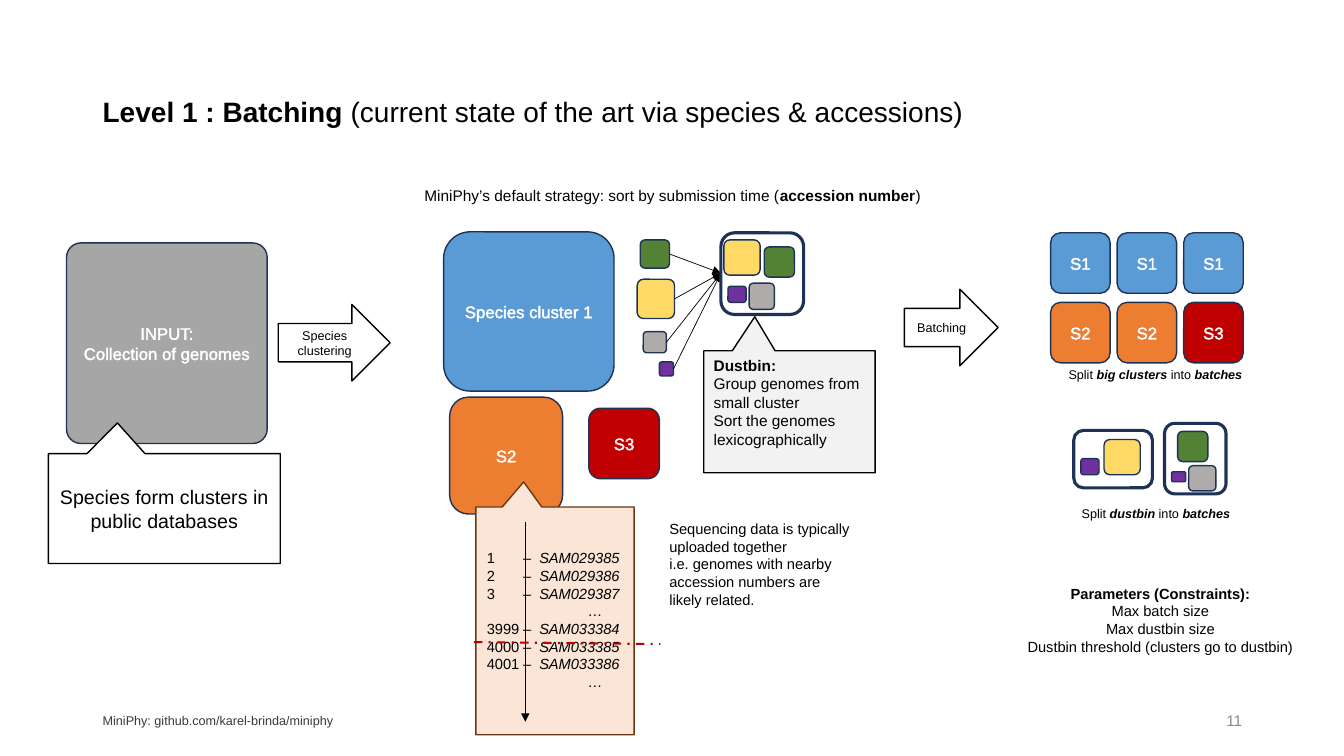
from lxml.etree import SubElement
from pptx import Presentation
from pptx.dml.color import RGBColor
from pptx.enum.dml import MSO_LINE
from pptx.enum.shapes import MSO_CONNECTOR, MSO_SHAPE
from pptx.enum.text import MSO_ANCHOR, PP_ALIGN
from pptx.oxml.ns import qn
from pptx.util import Inches, Pt

BLACK = RGBColor(0x00, 0x00, 0x00)
WHITE = RGBColor(0xFF, 0xFF, 0xFF)
NAVY = RGBColor(0x1E, 0x32, 0x56)
BROWN = RGBColor(0x68, 0x37, 0x15)
INPUT_GRAY = RGBColor(0xA6, 0xA6, 0xA6)
PALE_GRAY = RGBColor(0xF2, 0xF2, 0xF2)
NUMBER_GRAY = RGBColor(0x8C, 0x8C, 0x8C)
FOOTER_GRAY = RGBColor(0x3B, 0x38, 0x38)
PEACH = RGBColor(0xFB, 0xE5, 0xD6)
BLUE = RGBColor(0x5B, 0x9B, 0xD5)
ORANGE = RGBColor(0xED, 0x7D, 0x31)
RED = RGBColor(0xC0, 0x00, 0x00)
GREEN = RGBColor(0x54, 0x82, 0x35)
YELLOW = RGBColor(0xFF, 0xD9, 0x66)
GRAY = RGBColor(0xAF, 0xAB, 0xAB)
PURPLE = RGBColor(0x70, 0x30, 0xA0)

LEFT, CENTER, RIGHT = PP_ALIGN.LEFT, PP_ALIGN.CENTER, PP_ALIGN.RIGHT
TOP, MIDDLE = MSO_ANCHOR.TOP, MSO_ANCHOR.MIDDLE


def write(tf, paragraphs, size=10.5, color=BLACK, align=LEFT, anchor=TOP,
          spacing=None, outline=False, tabs=()):
    """Fill a text frame; a run is a string or a (string, 'b'/'i' flags) pair."""
    tf.word_wrap = True
    tf.vertical_anchor = anchor
    for i, runs in enumerate(paragraphs):
        p = tf.add_paragraph() if i else tf.paragraphs[0]
        p.alignment = align
        if spacing:
            p.line_spacing = spacing
        if tabs:
            tab_list = SubElement(p._p.get_or_add_pPr(), qn("a:tabLst"))
            for stop in tabs:
                SubElement(tab_list, qn("a:tab"), pos=str(Inches(stop)), algn="l")
        for run in [runs] if isinstance(runs, str) else runs:
            text, flags = (run, "") if isinstance(run, str) else run
            r = p.add_run()
            r.text = text
            f = r.font
            f.name, f.size = "Arial", Pt(size)
            f.bold, f.italic = "b" in flags, "i" in flags
            f.color.rgb = color
            if outline:
                ln = SubElement(r._r.rPr, qn("a:ln"), w=str(Pt(0.75)))
                fill = SubElement(ln, qn("a:solidFill"))
                SubElement(fill, qn("a:srgbClr"), val=str(color))
                r._r.rPr.insert(0, ln)


class Canvas:
    """Draws the elements of one slide in a shared style."""

    def __init__(self, s):
        self.s = s

    def text(self, x, y, w, h, paragraphs, **fmt):
        box = self.s.shapes.add_textbox(Inches(x), Inches(y), Inches(w), Inches(h))
        write(box.text_frame, paragraphs, **fmt)

    def shape(self, kind, x, y, w, h, fill=None, line=BLACK, width=1, adj=(),
              paragraphs=(), **fmt):
        sp = self.s.shapes.add_shape(kind, Inches(x), Inches(y), Inches(w), Inches(h))
        sp.shadow.inherit = False
        for i, value in enumerate(adj):
            sp.adjustments[i] = value
        if fill is None:
            sp.fill.background()
        else:
            sp.fill.solid()
            sp.fill.fore_color.rgb = fill
        sp.line.color.rgb = line
        sp.line.width = Pt(width)
        write(sp.text_frame, paragraphs, **fmt)

    def block(self, x, y, w, h, fill, *labels, adj=()):
        self.shape(MSO_SHAPE.ROUNDED_RECTANGLE, x, y, w, h, fill, NAVY, adj=adj,
                   paragraphs=labels, size=12, color=WHITE, align=CENTER,
                   anchor=MIDDLE, outline=True)

    def bin(self, x, y, w, h):
        self.shape(MSO_SHAPE.ROUNDED_RECTANGLE, x, y, w, h, line=NAVY, width=2.25)

    def arrow(self, x, y, w, h, label):
        self.shape(MSO_SHAPE.RIGHT_ARROW, x, y, w, h, WHITE, paragraphs=[label],
                   size=9, align=CENTER, anchor=MIDDLE)

    def callout(self, x, y, w, h, fill, adj=(-0.202, -0.779), **fmt):
        self.shape(MSO_SHAPE.RECTANGULAR_CALLOUT, x, y, w, h, fill, adj=adj, **fmt)

    def line(self, x1, y1, x2, y2, color=BLACK, width=1, dash=None, head=True):
        cn = self.s.shapes.add_connector(MSO_CONNECTOR.STRAIGHT, Inches(x1),
                                         Inches(y1), Inches(x2), Inches(y2))
        cn.line.color.rgb = color
        cn.line.width = Pt(width)
        if dash:
            cn.line.dash_style = dash
        if head:
            SubElement(cn.line._get_or_add_ln(), qn("a:tailEnd"), type="triangle")
        SubElement(cn._element.spPr, qn("a:effectLst"))


def draw_input(c):
    """Draw the genome collection and its callout."""
    c.block(0.66, 2.41, 1.99, 1.99, INPUT_GRAY, "INPUT:", "Collection of genomes",
            adj=[0.072])
    c.arrow(2.76, 3.02, 1.11, 0.76, "Species clustering")
    c.callout(0.48, 4.5, 2.3, 1.09, WHITE, size=14, align=CENTER, anchor=MIDDLE,
              paragraphs=["Species form clusters in public databases"])


def draw_clusters(c):
    """Draw the species clusters and the accession list."""
    c.block(4.4, 2.3, 1.69, 1.58, BLUE, "Species cluster 1")
    c.block(4.46, 3.94, 1.12, 1.16, ORANGE, "S2")
    c.block(5.84, 4.05, 0.7, 0.7, RED, "S3")
    c.callout(4.72, 5.03, 1.57, 2.26, PEACH, adj=(-0.198, -0.61), line=BROWN)
    accessions = [(1, "SAM029385"), (2, "SAM029386"), (3, "SAM029387"), None,
                  (3999, "SAM033384"), (4000, "SAM033385"), (4001, "SAM033386"), None]
    rows = [[f"{row[0]}\t–\t", (row[1], "i")] if row else "\t\t\t…"
            for row in accessions]
    c.text(4.73, 5.4, 2.05, 1.51, rows, tabs=(0.36, 0.52, 1))
    c.line(5.21, 5.18, 5.21, 7.16)
    c.line(4.7, 6.37, 6.55, 6.39, RED, 1.5, MSO_LINE.DASH_DOT, head=False)
    c.text(6.54, 5.11, 2.05, 1.16, [
        "Sequencing data is typically uploaded together",
        "i.e. genomes with nearby accession numbers are likely related."])


def draw_dustbin(c):
    """Draw the small clusters going into the dustbin."""
    for x, y, w, h, fill in [(6.35, 2.38, 0.29, 0.28, GREEN),
                             (6.32, 2.77, 0.37, 0.39, YELLOW),
                             (6.38, 3.29, 0.23, 0.21, GRAY),
                             (6.54, 3.59, 0.14, 0.14, PURPLE)]:
        c.block(x, y, w, h, fill)
        c.line(x + w, y + h / 2, 7.15, 2.71, width=0.5)
    c.block(7.22, 2.84, 0.18, 0.16, PURPLE)
    c.block(7.18, 2.38, 0.36, 0.35, YELLOW)
    c.bin(7.15, 2.31, 0.82, 0.81)
    c.block(7.58, 2.45, 0.3, 0.3, GREEN)
    c.block(7.43, 2.81, 0.25, 0.26, GRAY)
    c.callout(6.98, 3.48, 1.7, 1.21, PALE_GRAY, size=11, paragraphs=[
        [("Dustbin:", "b")], "Group genomes from small cluster",
        "Sort the genomes lexicographically"])


def draw_batches(c):
    """Draw the batches, the split dustbins and the parameters."""
    c.arrow(8.97, 2.87, 0.93, 0.76, "Batching")
    batches = [[("S1", BLUE)] * 3, [("S2", ORANGE)] * 2 + [("S3", RED)]]
    for i, row in enumerate(batches):
        for j, (label, fill) in enumerate(row):
            c.block(10.42 + 0.66 * j, 2.31 + 0.69 * i, 0.59, 0.6, fill, label)
    c.block(11.62, 4.68, 0.14, 0.1, PURPLE)
    c.bin(11.55, 4.2, 0.61, 0.7)
    c.block(11.68, 4.28, 0.3, 0.3, GREEN)
    c.block(11.79, 4.62, 0.27, 0.25, GRAY)
    c.block(10.72, 4.55, 0.18, 0.16, PURPLE)
    c.block(10.95, 4.36, 0.36, 0.35, YELLOW)
    c.bin(10.65, 4.27, 0.78, 0.57)
    for x, y, w, source in [(10.5, 3.52, 2.27, "big clusters"),
                            (10.63, 4.9, 1.89, "dustbin")]:
        c.text(x, y, w, 0.4, [["Split ", (source, "bi"), " into ", ("batches", "bi")]],
               size=9, anchor=MIDDLE, spacing=0.9)
    c.text(10.03, 5.75, 2.96, 0.84, [
        [("Parameters (Constraints):", "b")], "Max batch size", "Max dustbin size",
        "Dustbin threshold (clusters go to dustbin)"], align=CENTER)


def main():
    """Build and save the slide."""
    prs = Presentation()
    prs.slide_width, prs.slide_height = Inches(13.33), Inches(7.5)
    c = Canvas(prs.slides.add_slide(prs.slide_layouts[6]))
    c.text(0.92, 0.4, 11.5, 1.45, [[
        ("Level 1 : Batching ", "b"),
        "(current state of the art via species & accessions)"]],
        size=20, anchor=MIDDLE, spacing=0.9)
    c.text(3.71, 1.82, 5.92, 0.35, [[
        "MiniPhy’s default strategy: sort by submission time (",
        ("accession number", "b"), ")"]], size=11, align=CENTER, spacing=0.9)
    draw_input(c)
    draw_clusters(c)
    draw_dustbin(c)
    draw_batches(c)
    c.text(0.92, 6.95, 8, 0.4, ["MiniPhy: github.com/karel-brinda/miniphy"],
           size=9, color=FOOTER_GRAY, anchor=MIDDLE)
    c.text(9.42, 6.95, 3, 0.4, ["11"], size=11, color=NUMBER_GRAY, align=RIGHT,
           anchor=MIDDLE)
    prs.save("out.pptx")


if __name__ == "__main__":
    main()
